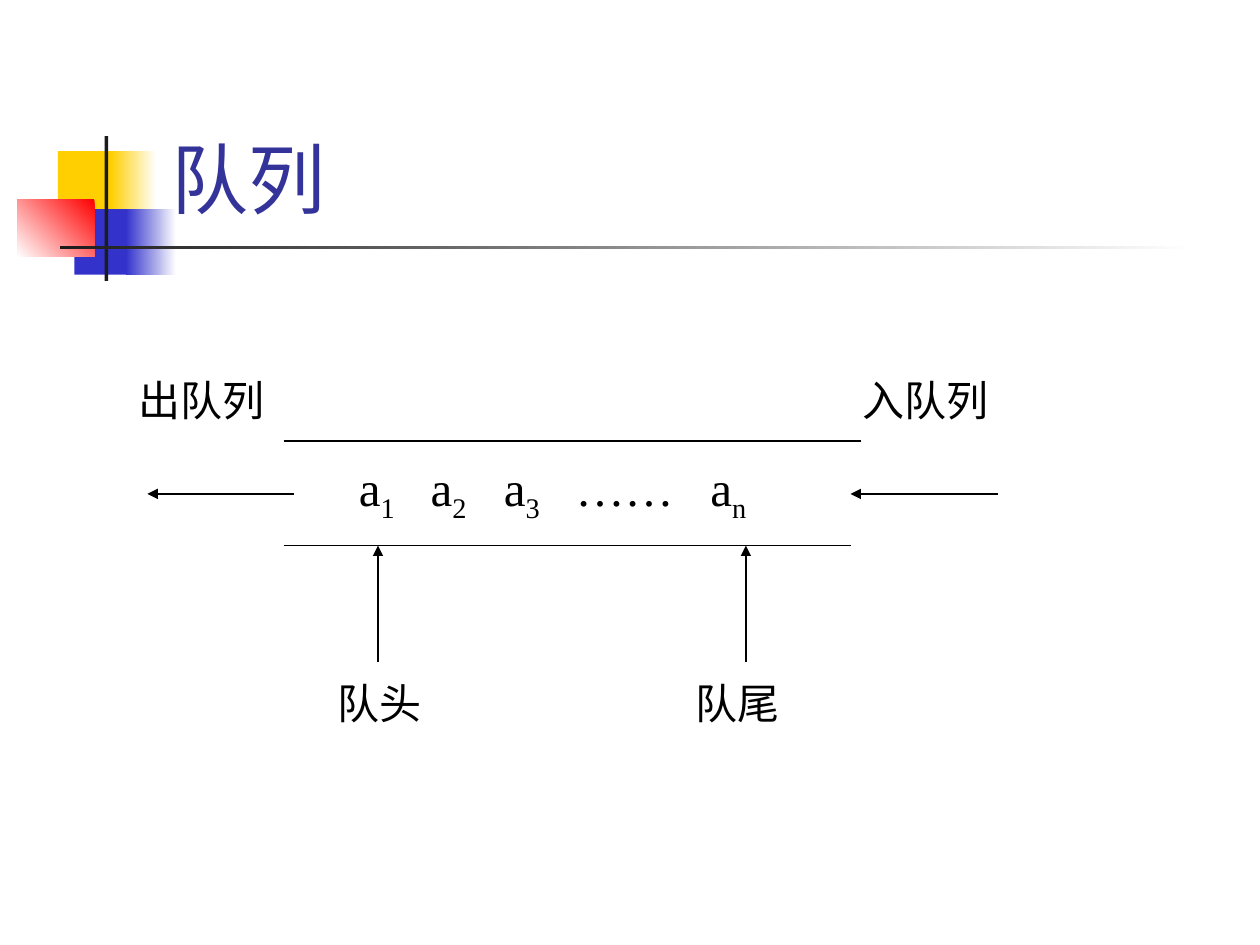
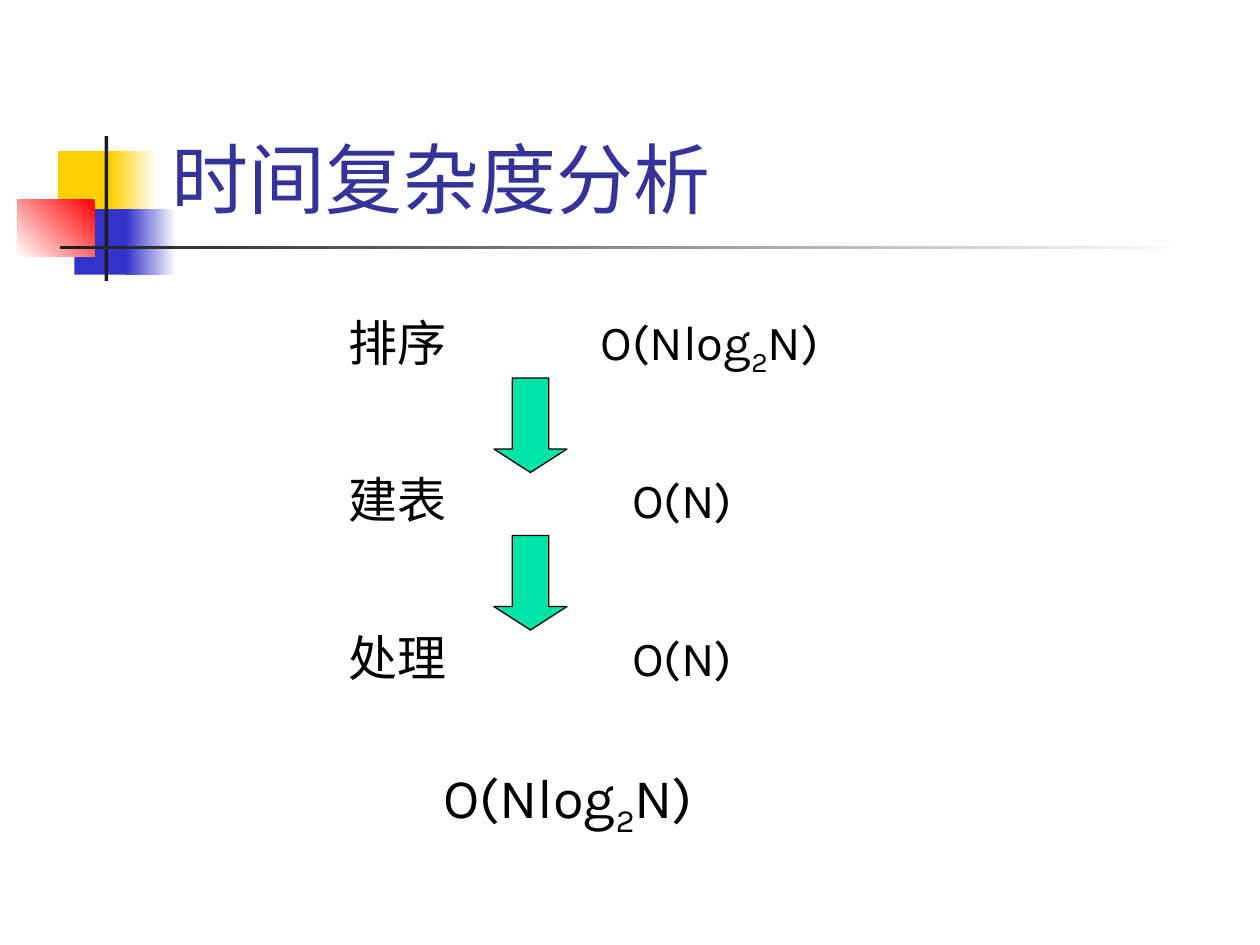
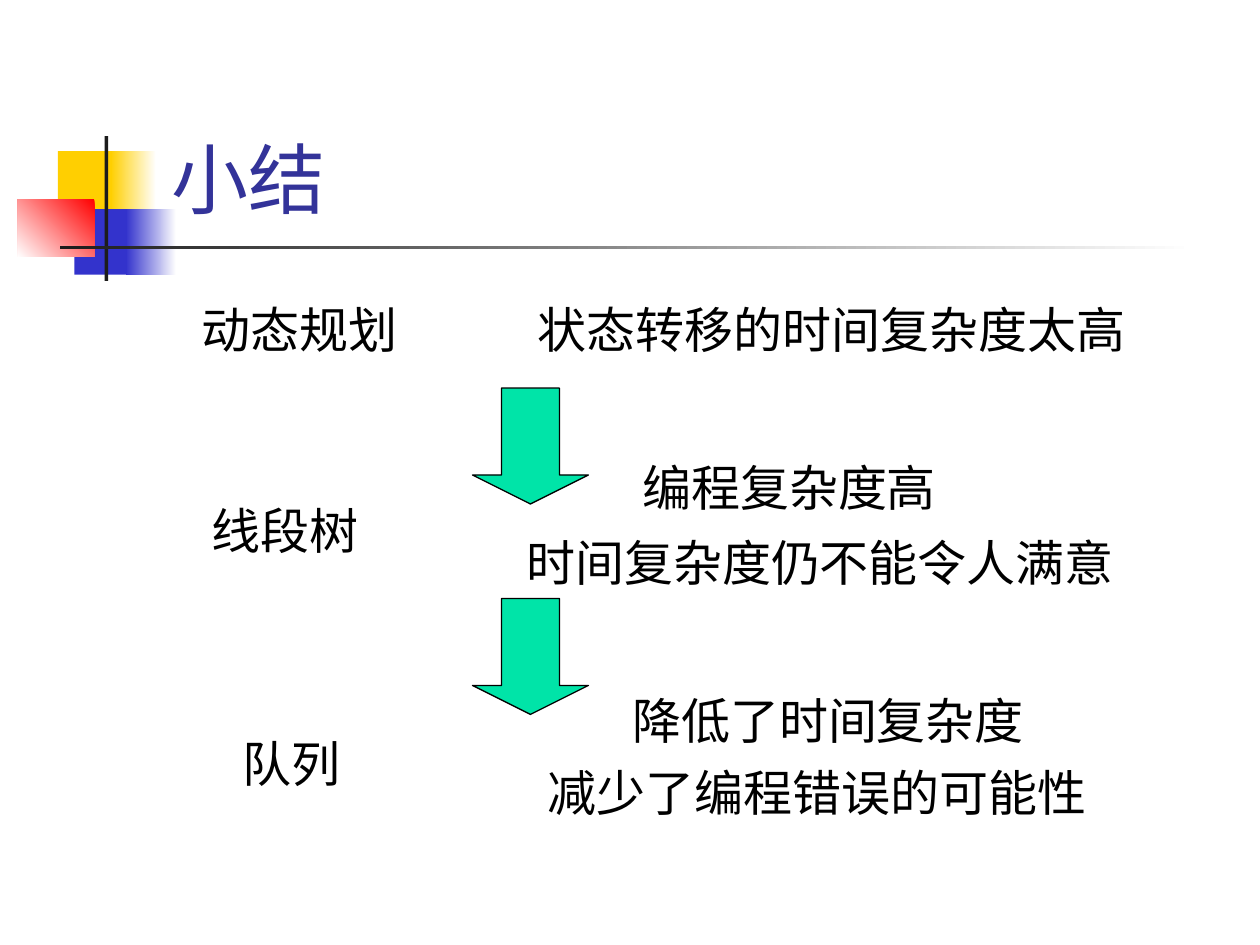
from dataclasses import dataclass

from lxml import etree
from pptx import Presentation
from pptx.dml.color import RGBColor
from pptx.enum.shapes import MSO_CONNECTOR, MSO_SHAPE
from pptx.enum.text import MSO_ANCHOR, MSO_AUTO_SIZE
from pptx.oxml.ns import qn
from pptx.util import Inches, Pt

RECTANGLE = MSO_SHAPE.RECTANGLE
DOWN_ARROW = MSO_SHAPE.DOWN_ARROW
STRAIGHT = MSO_CONNECTOR.STRAIGHT
TOP, BOTTOM = MSO_ANCHOR.TOP, MSO_ANCHOR.BOTTOM
GROW, FIXED = MSO_AUTO_SIZE.SHAPE_TO_FIT_TEXT, MSO_AUTO_SIZE.NONE
BLANK_LAYOUT = 6


@dataclass(frozen=True)
class Theme:
    font: str = "Karla"
    formula_font: str = "Times New Roman"
    title_color: str = "333399"
    ink: str = "000000"
    white: str = "FFFFFF"
    yellow: str = "FFCF01"
    blue: str = "3333CC"
    red: str = "FF0000"
    rule: str = "1C1C1C"
    arrow: str = "00E4A8"
    title_size: float = 44
    result_size: float = 32
    body_size: float = 28
    label_size: float = 24
    line_width: float = 0.75
    space_ratio: float = 0.625  # space before a paragraph, per point of type


def write_text(frame, text, *, font, size, color, space_before=0, tabs=()):
    """Write one paragraph; parts between underscores become subscripts."""
    para = frame.paragraphs[0]
    para.space_before = Pt(space_before)
    if tabs:
        tab_list = etree.SubElement(para._p.get_or_add_pPr(), qn("a:tabLst"))
        for position in tabs:
            etree.SubElement(tab_list, qn("a:tab"), pos=str(Inches(position)), algn="l")
    for index, part in enumerate(text.split("_")):
        if not part:
            continue
        span = para.add_run()
        span.text = part
        span.font.name = font
        span.font.size = Pt(size)
        span.font.color.rgb = RGBColor.from_string(color)
        if index % 2:
            span._r.get_or_add_rPr().set("baseline", "-25000")


class Deck:
    def __init__(self, theme):
        self.theme = theme
        self.presentation = Presentation()
        self.presentation.slide_width = Inches(10)
        self.presentation.slide_height = Inches(7.5)
        self.page = None

    def add_page(self, title):
        layout = self.presentation.slide_layouts[BLANK_LAYOUT]
        self.page = self.presentation.slides.add_slide(layout)
        self.decorate()
        theme = self.theme
        self.text(title, 1.26, 0.23, 8.52, 1.6, size=theme.title_size,
                  color=theme.title_color, space_before=0, anchor=BOTTOM, fit=FIXED)

    def decorate(self):
        """Overlapping squares and crossed rules beside the title."""
        theme = self.theme
        self.shape(0.46, 1.2, 0.48, 0.52, fill=theme.yellow)
        self.shape(0.88, 1.2, 0.36, 0.52, fill=(theme.white, theme.yellow))
        self.shape(0.59, 1.66, 0.46, 0.52, fill=theme.blue)
        self.shape(1, 1.66, 0.4, 0.52, fill=(theme.white, theme.blue))
        self.shape(0.14, 1.58, 0.61, 0.46, fill=(theme.red, theme.white), angle=225)
        self.shape(0.83, 1.08, 0.03, 1.15, fill=theme.rule)
        self.shape(0.48, 1.95, 9, 0.03, fill=(theme.white, theme.rule))

    def shape(self, left, top, width, height, *, fill, angle=180, kind=RECTANGLE,
              adjustments=(), outlined=False):
        """A preset shape; a pair of colours as fill makes a gradient."""
        shape = self.page.shapes.add_shape(
            kind, Inches(left), Inches(top), Inches(width), Inches(height))
        shape.shadow.inherit = False
        for index, value in enumerate(adjustments):
            shape.adjustments[index] = value
        if isinstance(fill, tuple):
            shape.fill.gradient()
            shape.fill.gradient_angle = angle
            for stop, color in zip(shape.fill.gradient_stops, fill):
                stop.color.rgb = RGBColor.from_string(color)
        else:
            shape.fill.solid()
            shape.fill.fore_color.rgb = RGBColor.from_string(fill)
        if outlined:
            self.outline(shape.line)
        else:
            shape.line.fill.background()

    def outline(self, line):
        line.color.rgb = RGBColor.from_string(self.theme.ink)
        line.width = Pt(self.theme.line_width)

    def down_arrow(self, left, top, width, height, head):
        self.shape(left, top, width, height, fill=self.theme.arrow, kind=DOWN_ARROW,
                   adjustments=(0.5, head), outlined=True)

    def text(self, text, left, top, width, height=0.57, *, size=None, font=None,
             color=None, space_before=None, tabs=(), anchor=TOP, fit=GROW):
        theme = self.theme
        size = size or theme.body_size
        if space_before is None:
            space_before = size * theme.space_ratio
        box = self.page.shapes.add_textbox(
            Inches(left), Inches(top), Inches(width), Inches(height))
        frame = box.text_frame
        frame.word_wrap = True
        frame.auto_size = fit
        frame.vertical_anchor = anchor
        write_text(frame, text, font=font or theme.font, size=size,
                   color=color or theme.ink, space_before=space_before, tabs=tabs)

    def line(self, start, end, *, arrow=False):
        connector = self.page.shapes.add_connector(
            STRAIGHT, *(Inches(value) for value in (*start, *end)))
        self.outline(connector.line)
        if arrow:
            etree.SubElement(connector.line._get_or_add_ln(), qn("a:tailEnd"),
                             type="triangle")
        etree.SubElement(connector._element.spPr, qn("a:effectLst"))


def queue_page(deck):
    theme = deck.theme
    deck.add_page("队列")

    # Queue walls and items
    wall_top, wall_bottom, middle = 3.5, 4.33, 3.92
    deck.line((2.25, wall_top), (6.83, wall_top))
    deck.line((2.25, wall_bottom), (6.75, wall_bottom))
    deck.text("a_1_\ta_2_\ta_3_\t……\ta_n_", 2.75, 3.58, 5.08, 0.63,
              font=theme.formula_font, tabs=(0.57, 1.15, 1.72, 2.79))

    # Entering, leaving, and the pointers to head and tail
    for start, end in ((7.92, 6.75), (2.33, 1.17)):
        deck.line((start, middle), (end, middle), arrow=True)
    for x in (3, 5.92):
        deck.line((x, 5.25), (x, wall_bottom), arrow=True)

    labels = (("队头", 2.58, 5.33, 1), ("队尾", 5.42, 5.33, 1),
              ("入队列", 6.75, 2.92, 1.33), ("出队列", 1, 2.92, 1.33))
    for label, left, top, width in labels:
        deck.text(label, left, top, width, 0.5, size=theme.label_size)


def complexity_page(deck):
    deck.add_page("时间复杂度分析")

    # One row per step, with its cost
    first_row, row_step = 2.43, 1.25
    for index, step in enumerate(("排序", "建表", "处理")):
        top = first_row + index * row_step
        deck.text(step, 2.67, top, 1.25)
        if index:
            deck.text("O(N)", 4.92, top, 1.25)
            deck.down_arrow(3.92, top - 0.68, 0.58, 0.75, 0.321)
    deck.text("O(Nlog_2_N)", 4.67, 2.42, 2.08, 0.63)

    # Total cost
    deck.text("O(Nlog_2_N)", 3.42, 6, 2.42, 0.71, size=deck.theme.result_size)


def summary_page(deck):
    deck.add_page("小结")

    # Methods on the left, remarks on the right
    entries = (
        ("动态规划", 1.5, 2.33, 2.17),
        ("状态转移的时间复杂度太高", 4.17, 2.33, 5.17),
        ("线段树", 1.58, 3.92, 1.5),
        ("编程复杂度高", 5, 3.58, 2.83),
        ("时间复杂度仍不能令人满意", 4.08, 4.18, 5.17),
        ("队列", 1.83, 5.77, 1.08),
        ("降低了时间复杂度", 4.92, 5.43, 3.42),
        ("减少了编程错误的可能性", 4.25, 6, 5),
    )
    for entry in entries:
        deck.text(*entry)

    for top in (3.08, 4.75):
        deck.down_arrow(3.75, top, 0.92, 0.92, 0.25)


def main():
    deck = Deck(Theme())
    queue_page(deck)
    complexity_page(deck)
    summary_page(deck)
    deck.presentation.save("out.pptx")


if __name__ == "__main__":
    main()
